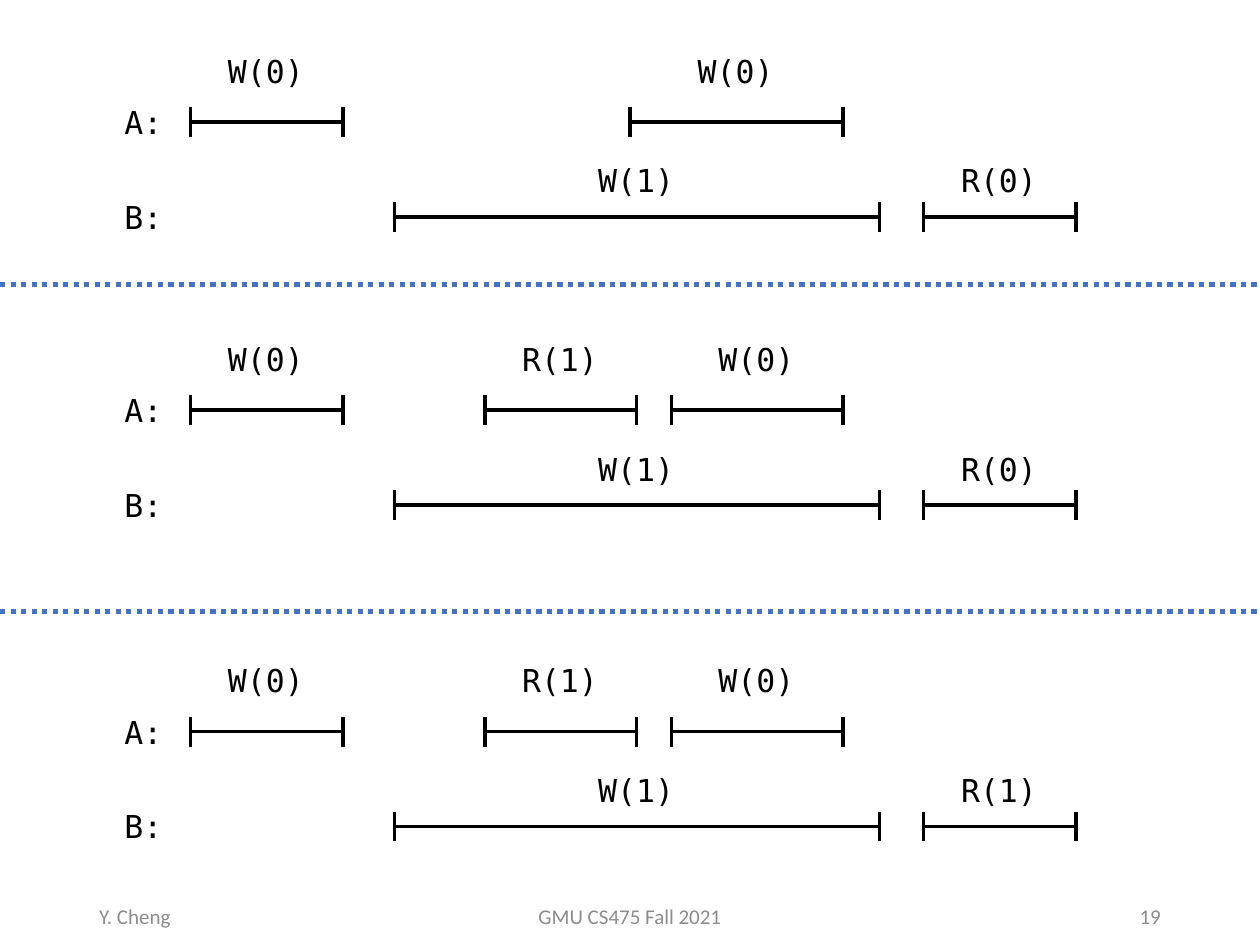
from pptx import Presentation
from pptx.dml.color import RGBColor
from pptx.enum.dml import MSO_LINE
from pptx.enum.shapes import MSO_CONNECTOR
from pptx.enum.text import MSO_ANCHOR, MSO_AUTO_SIZE, PP_ALIGN
from pptx.oxml.ns import qn
from pptx.util import Cm, Pt
from lxml.etree import SubElement

COLORS = {"ink": "000000", "divider": "4472C4", "footer": "8C8C8C"}
MONO, SANS = "DejaVu Sans Mono", "Calibri"

FIRST_WRITE = ("W(0)", 3.84, 6.91)
LONG_WRITE = ("W(1)", 7.95, 17.73)
MIDDLE_READ = ("R(1)", 9.78, 12.83)
SHORT_WRITE = ("W(0)", 13.54, 16.99)
LAST_SPAN = (18.62, 21.69)

HISTORIES = [
    (2.46, {"A:": [FIRST_WRITE, ("W(0)", 12.7, 16.99)],
            "B:": [LONG_WRITE, ("R(0)", *LAST_SPAN)]}),
    (8.27, {"A:": [FIRST_WRITE, MIDDLE_READ, SHORT_WRITE],
            "B:": [LONG_WRITE, ("R(0)", *LAST_SPAN)]}),
    (14.75, {"A:": [FIRST_WRITE, MIDDLE_READ, SHORT_WRITE],
             "B:": [LONG_WRITE, ("R(1)", *LAST_SPAN)]}),
]
DIVIDERS = [5.74, 12.32]
FOOTERS = [
    ("Y. Cheng", 1.75, 5.72, PP_ALIGN.LEFT),
    ("GMU CS475 Fall 2021", 8.41, 8.58, PP_ALIGN.CENTER),
    ("19", 17.93, 5.72, PP_ALIGN.RIGHT),
]

SLIDE_W, SLIDE_H = 25.4, 19.05
ROW_GAP, TICK = 1.91, 0.3
TEXT_H, NAME_W, LABEL_W = 1.02, 1.27, 2.06
LABEL_RISE = {"A:": 1.54, "B:": 1.24}

prs = Presentation()
prs.slide_width, prs.slide_height = Cm(SLIDE_W), Cm(SLIDE_H)
s = prs.slides.add_slide(prs.slide_layouts[6])


def add_text(text, x, y, w, font=MONO, size=18, color="ink", align=PP_ALIGN.LEFT):
    tf = s.shapes.add_textbox(Cm(x), Cm(y), Cm(w), Cm(TEXT_H)).text_frame
    tf.word_wrap = False
    p = tf.paragraphs[0]
    p.text, p.alignment = text, align
    p.font.name, p.font.size = font, Pt(size)
    p.font.color.rgb = RGBColor.from_string(COLORS[color])
    return tf


def add_line(shapes, x1, y1, x2, y2, color="ink", width=2):
    line = shapes.add_connector(MSO_CONNECTOR.STRAIGHT, Cm(x1), Cm(y1), Cm(x2), Cm(y2))
    line.line.color.rgb = RGBColor.from_string(COLORS[color])
    line.line.width = Pt(width)
    SubElement(line._element.spPr, qn("a:effectLst"))
    return line


def add_operation(label, start, end, y, rise):
    shapes = s.shapes.add_group_shape().shapes
    add_line(shapes, start, y, end, y)
    for x in (start, end):
        add_line(shapes, x, y - TICK, x, y + TICK)
    tf = add_text(label, (start + end - LABEL_W) / 2, y - rise, LABEL_W)
    tf.auto_size = MSO_AUTO_SIZE.SHAPE_TO_FIT_TEXT


for top, processes in HISTORIES:
    for row, (name, operations) in enumerate(processes.items()):
        y = top + row * ROW_GAP
        tf = add_text(name, 2.26, y - TEXT_H / 2, NAME_W)
        tf.auto_size = MSO_AUTO_SIZE.SHAPE_TO_FIT_TEXT
        for label, start, end in operations:
            add_operation(label, start, end, y, LABEL_RISE[name])

for y in DIVIDERS:
    line = add_line(s.shapes, 0, y, SLIDE_W, y, "divider", 3)
    line.line.dash_style = MSO_LINE.ROUND_DOT

for text, x, w, align in FOOTERS:
    tf = add_text(text, x, 17.96, w, SANS, 12, "footer", align)
    tf.word_wrap = True
    tf.vertical_anchor = MSO_ANCHOR.MIDDLE

prs.save("out.pptx")
